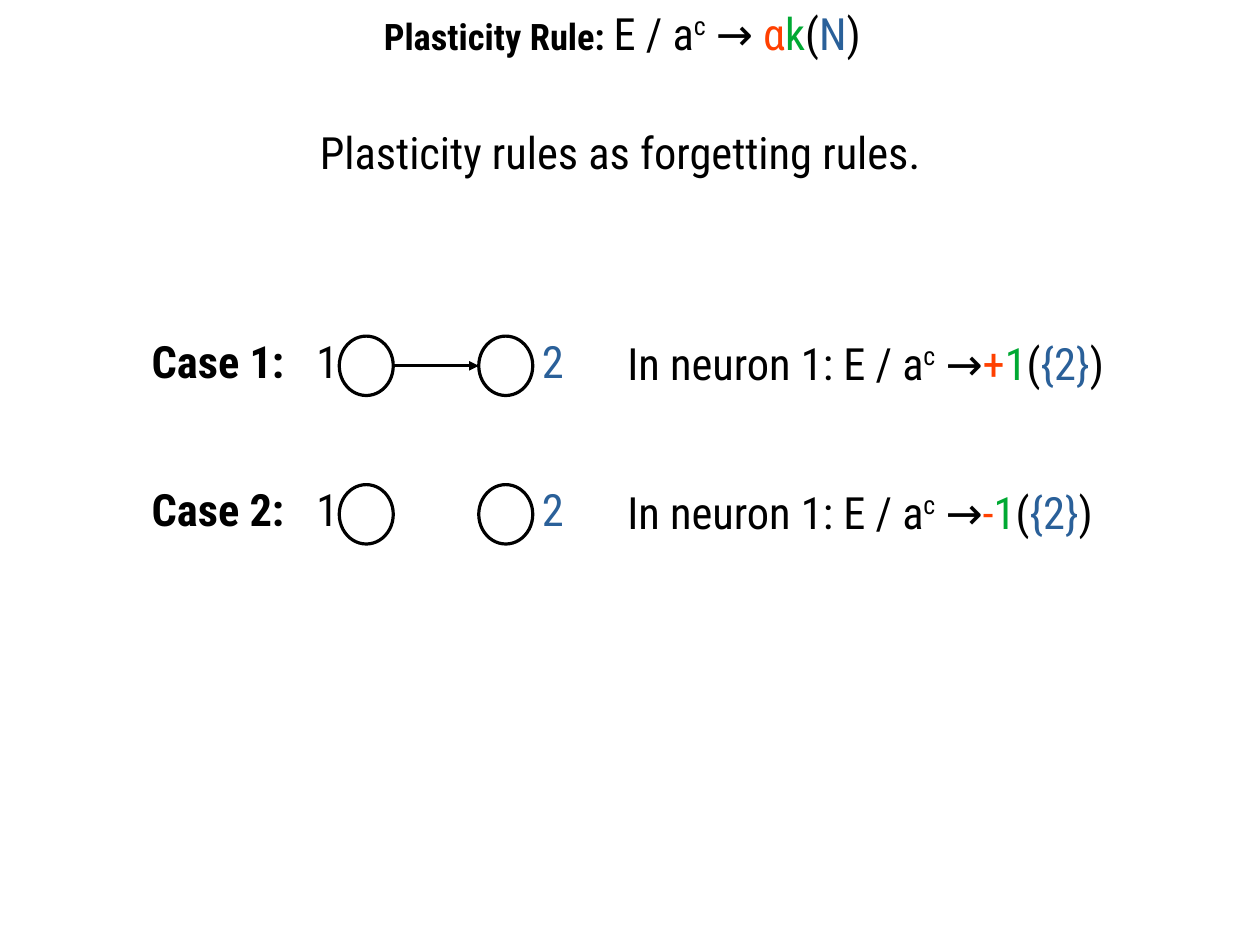
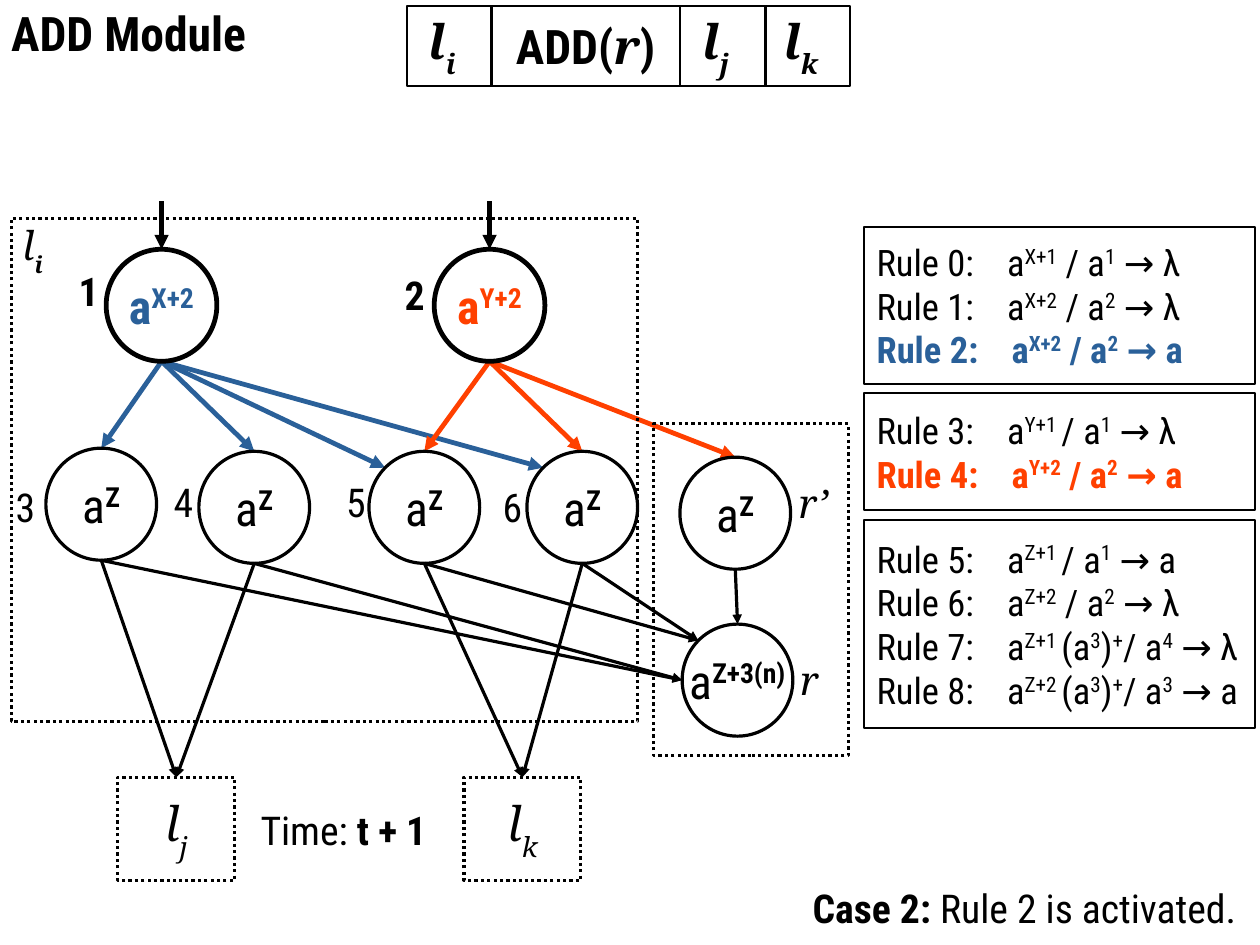
from lxml.etree import SubElement
from pptx import Presentation
from pptx.dml.color import RGBColor
from pptx.enum.dml import MSO_LINE
from pptx.enum.shapes import MSO_CONNECTOR, MSO_SHAPE
from pptx.enum.text import MSO_ANCHOR, PP_ALIGN
from pptx.oxml.ns import qn
from pptx.util import Cm, Pt

COLORS = {"black": "000000", "blue": "2A6099", "orange": "FF4000", "green": "00A933"}
SANS, SERIF = "Roboto Condensed", "Noto Serif"
BASELINES = {"^": "33000", "_": "-33000"}
TEXT_INSETS = (0.25, 0.13, 0.25, 0.13)
SHAPE_INSETS = (0.28, 0.15, 0.28, 0.15)
PANEL_INSETS = (0.28, 0.15, 0.1, 0.15)
HEADER_INSETS = (0.28, 0.15, 0.58, 0.15)

NEURON_W, NEURON_H = 2.46, 2.49
TOP, BOTTOM, LEFT, UPPER_LEFT = (0.5, 0), (0.5, 1), (0, 0.5), (0.146, 0.146)


def rgb(name):
    return RGBColor.from_string(COLORS[name])


def split_scripts(text):
    """Yield (piece, baseline); ^...^ is superscript and _..._ subscript."""
    piece, mark = "", None
    for ch in text:
        if ch in BASELINES:
            if piece:
                yield piece, BASELINES.get(mark)
            piece, mark = "", None if mark == ch else ch
        else:
            piece += ch
    if piece:
        yield piece, BASELINES.get(mark)


def style_run(r, style, baseline):
    """Apply space-separated style words: a colour, bold, italic, serif or a size."""
    words = style.split()
    r.font.color.rgb = rgb(next((w for w in words if w in COLORS), "black"))
    if "bold" in words:
        r.font.bold = True
    if "italic" in words:
        r.font.italic = True
    if "serif" in words:
        r.font.name = SERIF
    for word in words:
        if word.isdigit():
            r.font.size = Pt(int(word))
    if baseline:
        r._r.get_or_add_rPr().set("baseline", baseline)


def write(tf, paragraphs, size, align=PP_ALIGN.LEFT, insets=TEXT_INSETS, wrap=True):
    """Fill a text frame; each paragraph is a list of (marked text, style) runs."""
    tf.word_wrap = wrap
    tf.margin_left, tf.margin_top, tf.margin_right, tf.margin_bottom = map(Cm, insets)
    for i, runs in enumerate(paragraphs):
        p = tf.paragraphs[0] if i == 0 else tf.add_paragraph()
        p.alignment = align
        if "\t" in runs[0][0]:
            tabs = SubElement(p._p.get_or_add_pPr(), qn("a:tabLst"))
            stop = 3.0 if "bold" in runs[0][1] else 2.9
            SubElement(tabs, qn("a:tab"), pos=str(Cm(stop)), algn="l")
        p.font.size, p.font.name = Pt(size), SANS
        for text, style in runs:
            for piece, baseline in split_scripts(text):
                r = p.add_run()
                r.text = piece
                style_run(r, style, baseline)


def add_text(slide, x, y, w, runs, size, h=1.55):
    sp = slide.shapes.add_textbox(Cm(x), Cm(y), Cm(w), Cm(h))
    write(sp.text_frame, [runs], size)


def add_outline(slide, kind, box, width=2, dotted=False):
    sp = slide.shapes.add_shape(kind, *map(Cm, box))
    sp.shadow.inherit = False
    sp.fill.background()
    sp.line.color.rgb = rgb("black")
    sp.line.width = Pt(width)
    if dotted:
        sp.line.dash_style = MSO_LINE.ROUND_DOT
    return sp


def add_label_shape(slide, kind, box, runs, width=2, dotted=False, insets=SHAPE_INSETS):
    sp = add_outline(slide, kind, box, width, dotted)
    sp.text_frame.vertical_anchor = MSO_ANCHOR.MIDDLE
    write(sp.text_frame, [runs], 30, PP_ALIGN.CENTER, insets, wrap=False)
    return sp


def add_arrow(slide, start, end, color="black", width=2):
    line = slide.shapes.add_connector(MSO_CONNECTOR.STRAIGHT, *map(Cm, (*start, *end)))
    line.line.color.rgb = rgb(color)
    line.line.width = Pt(width)
    SubElement(line.line._get_or_add_ln(), qn("a:tailEnd"), type="triangle")
    SubElement(line._element.spPr, qn("a:effectLst"))
    return line


def case_row(slide, x, y, number, sign, linked):
    circle_w, circle_h = 1.2, 1.32
    first, second, circle_y = x + 4.42, x + 7.52, y + 0.18
    for left in (first, second):
        add_outline(slide, MSO_SHAPE.OVAL, (left, circle_y, circle_w, circle_h))
    if linked:
        middle = circle_y + circle_h / 2
        add_arrow(slide, (first + circle_w, middle), (second, middle))
    add_text(slide, x, y, 3.8, [(f"Case {number}:", "bold")], 28)
    add_text(slide, x + 3.66, y, 1.1, [("1", "")], 28)
    add_text(slide, x + 8.67, y, 1.1, [("2", "blue")], 28)
    rule = [("In neuron 1: E / a^c^ →", ""), (sign, "orange"), ("1", "green"),
            ("(", ""), ("{2}", "blue"), (")", "")]
    add_text(slide, x + 10.57, y + 0.05, 11.6, rule, 28)


def plasticity_slide(slide):
    title = [("Plasticity Rule: ", "bold 23"), ("E / a^c^ → ", ""), ("α", "orange"),
             ("k", "green"), ("(", ""), ("N", "blue"), (")", "")]
    add_text(slide, 8.28, 0, 11.6, title, 28)
    add_text(slide, 6.86, 2.64, 14.48, [("Plasticity rules as forgetting rules.", "")], 28)
    for i, (sign, linked) in enumerate([("+", True), ("-", False)]):
        case_row(slide, 3.12, 7.29 + 3.3 * i, i + 1, sign, linked)


def instruction_bar(slide, x, y):
    label = "bold italic serif"
    cells = [(1.88, [("l_i_", label)], HEADER_INSETS),
             (4.19, [("ADD(", "bold"), ("r", label), (")", "bold")], SHAPE_INSETS),
             (1.9, [("l_j_", label)], HEADER_INSETS),
             (1.88, [("l_k_", label)], HEADER_INSETS)]
    for w, runs, insets in cells:
        add_label_shape(slide, MSO_SHAPE.RECTANGLE, (x, y, w, 1.78), runs, 1.5, insets=insets)
        x += w


def rule_panels(slide, x, w):
    panels = [
        (5.05, 3.48, [("Rule 0:\ta^X+1^ / a^1^ → λ", ""),
                      ("Rule 1:\ta^X+2^ / a^2^ → λ", ""),
                      ("Rule 2:\ta^X+2^ / a^2^ → a", "blue bold")]),
        (8.74, 2.59, [("Rule 3:\ta^Y+1 ^/ a^1^ → λ", ""),
                      ("Rule 4:\ta^Y+2^ / a^2^ → a", "orange bold")]),
        (11.56, 4.62, [("Rule 5:\ta^Z+1 ^/ a^1^ → a", ""),
                       ("Rule 6:\ta^Z+2^ / a^2^ → λ", ""),
                       ("Rule 7:\ta^Z+1 ^(a^3^)^+^/ a^4^ → λ", ""),
                       ("Rule 8:\ta^Z+2 ^(a^3^)^+^/ a^3^ → a", "")]),
    ]
    for y, h, rules in panels:
        sp = add_outline(slide, MSO_SHAPE.RECTANGLE, (x, y, w, h), 1.5)
        sp.text_frame.vertical_anchor = MSO_ANCHOR.MIDDLE
        write(sp.text_frame, [[rule] for rule in rules], 23, insets=PANEL_INSETS)


def neuron_network(slide, x, y):
    """Draw the ADD network; x, y is the corner of the dotted l_i frame."""
    a_z = [("a", ""), ("^Z^", "bold")]
    # name: left, top, content, outline, label offset, label style
    neurons = {
        "1": (2.11, 0.69, [("a^X+2^", "blue bold")], 3, (-0.86, 0.25), "bold"),
        "2": (9.4, 0.69, [("a^Y+2^", "orange bold")], 3, (-0.91, 0.35), "bold"),
        "3": (0.77, 5.11, a_z, 2, (-0.92, 0.63), ""),
        "4": (4.17, 5.18, a_z, 2, (-0.81, 0.46), ""),
        "5": (7.95, 5.18, a_z, 2, (-0.76, 0.46), ""),
        "6": (11.46, 5.18, a_z, 2, (-0.79, 0.56), ""),
        "r’": (14.86, 5.31, a_z, 2, (2.39, 0.36), "italic serif"),
        "r": (14.91, 9.02, [("a", ""), ("^Z+3(n)^", "bold")], 2, (2.37, 0.58), "italic serif"),
    }
    edges = [("1", "3", TOP), ("1", "4", TOP), ("1", "5", UPPER_LEFT), ("1", "6", UPPER_LEFT),
             ("2", "5", TOP), ("2", "6", TOP), ("2", "r’", TOP), ("r’", "r", TOP),
             ("3", "r", LEFT), ("4", "r", LEFT), ("5", "r", UPPER_LEFT), ("6", "r", UPPER_LEFT)]
    edge_styles = {"1": ("blue", 3), "2": ("orange", 3)}
    outputs = [("l_j_", 2.37, "34"), ("l_k_", 10.06, "56")]

    def anchor(name, spot):
        left, top = neurons[name][:2]
        return x + left + NEURON_W * spot[0], y + top + NEURON_H * spot[1]

    for name in "12":
        end_x, end_y = anchor(name, TOP)
        add_arrow(slide, (end_x, end_y - 1.07), (end_x, end_y), width=3)
    for source, target, spot in edges:
        add_arrow(slide, anchor(source, BOTTOM), anchor(target, spot),
                  *edge_styles.get(source, ("black", 2)))
    for text, left, sources in outputs:
        box = (x + left, y + 12.42, 2.6, 2.29)
        sp = add_label_shape(slide, MSO_SHAPE.RECTANGLE, box, [(text, "italic serif")], dotted=True)
        for source in sources:
            add_arrow(slide, anchor(source, BOTTOM), box[:2]).end_connect(sp, 0)
    for name, (left, top, content, width, (dx, dy), style) in neurons.items():
        box = (x + left, y + top, NEURON_W, NEURON_H)
        add_label_shape(slide, MSO_SHAPE.OVAL, box, content, width)
        add_text(slide, box[0] + dx, box[1] + dy, 1.3, [(name, style)], 25)
    for box in [(x, y, 13.92, 11.18), (x + 14.28, y + 4.57, 4.32, 7.37)]:
        add_outline(slide, MSO_SHAPE.RECTANGLE, box, dotted=True)
    add_text(slide, x, y - 0.07, 1.3, [("l", "italic serif"), ("_i_", "bold italic serif")], 25)


def add_module_slide(slide):
    add_text(slide, 0, -0.05, 6, [("ADD Module", "bold")], 30)
    instruction_bar(slide, 9.04, 0.13)
    neuron_network(slide, 0.25, 4.85)
    rule_panels(slide, 19.2, 8.69)
    add_text(slide, 5.54, 17.78, 4.6, [("Time: ", ""), ("t + 1", "bold")], 25)
    add_text(slide, 17.81, 19.51, 10.13, [("Case 2: ", "bold"), ("Rule 2 is activated.", "")], 25, 1.42)


def main():
    prs = Presentation()
    prs.slide_width, prs.slide_height = Cm(28), Cm(21)
    for build in (plasticity_slide, add_module_slide):
        build(prs.slides.add_slide(prs.slide_layouts[6]))
    prs.save("out.pptx")


if __name__ == "__main__":
    main()
